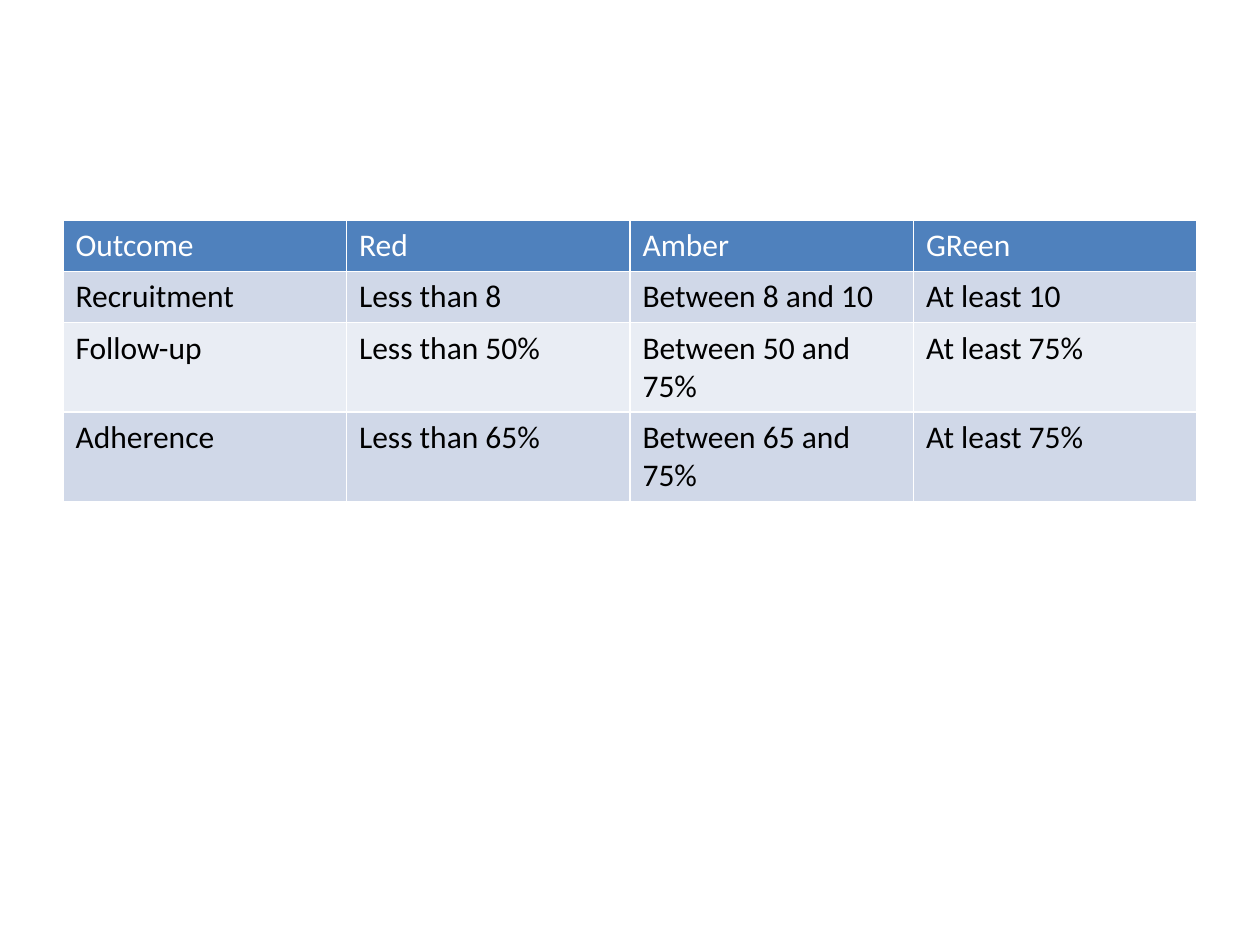
from dataclasses import dataclass

import pptx
import pptx.dml.color
import pptx.util
from pptx.util import Inches


@dataclass(frozen=True)
class OutcomeRow:
    labels: tuple[str, str, str, str]
    height: float
    fill: str
    ink: str = "000000"


CRITERIA = (
    OutcomeRow(("Outcome", "Red", "Amber", "GReen"), 0.4, "4F81BD", "FFFFFF"),
    OutcomeRow(("Recruitment", "Less than 8", "Between 8 and 10", "At least 10"), 0.4, "D0D8E8"),
    OutcomeRow(("Follow-up", "Less than 50%", "Between 50 and 75%", "At least 75%"), 0.71, "E9EDF4"),
    OutcomeRow(("Adherence", "Less than 65%", "Between 65 and 75%", "At least 75%"), 0.71, "D0D8E8"),
)


def color(value: str) -> pptx.dml.color.RGBColor:
    return pptx.dml.color.RGBColor.from_string(value)


def fill_row(table, index: int, outcome: OutcomeRow) -> None:
    row = table.rows[index]
    row.height = Inches(outcome.height)
    for cell, label in zip(row.cells, outcome.labels):
        cell.fill.solid()
        cell.fill.fore_color.rgb = color(outcome.fill)
        cell.text_frame.text = label
        font = cell.text_frame.paragraphs[0].runs[0].font
        font.name = "Calibri"
        font.size = pptx.util.Pt(18)
        font.bold = False
        font.color.rgb = color(outcome.ink)


presentation = pptx.Presentation()
presentation.slide_width = Inches(10)
presentation.slide_height = Inches(7.5)
slide = presentation.slides.add_slide(presentation.slide_layouts.get_by_name("Blank"))

criteria_height = sum(outcome.height for outcome in CRITERIA)
criteria_table = slide.shapes.add_table(
    len(CRITERIA), len(CRITERIA[0].labels),
    Inches(0.5), Inches(1.75), Inches(9), Inches(criteria_height),
).table
for index, outcome in enumerate(CRITERIA):
    fill_row(criteria_table, index, outcome)

presentation.save("out.pptx")
